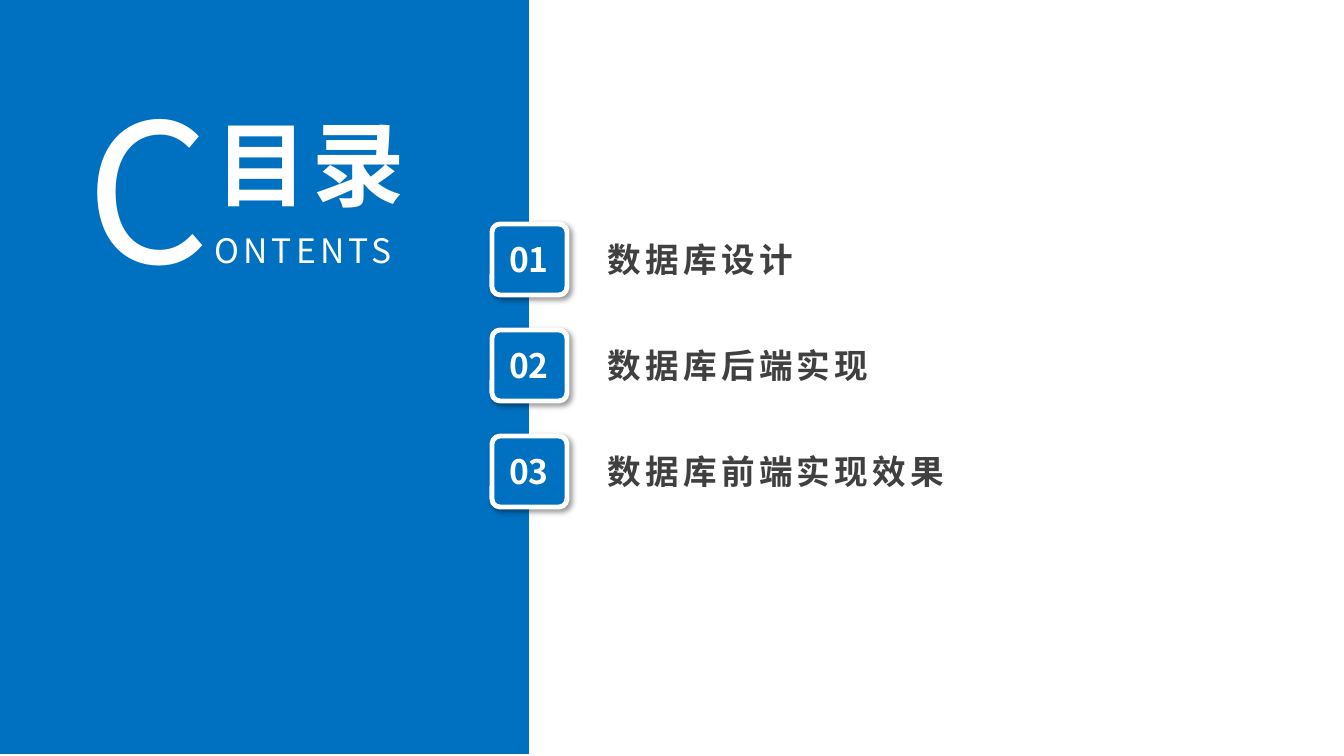
from lxml import etree
from pptx import Presentation
from pptx import util as u
from pptx.dml.color import RGBColor
from pptx.enum import shapes, text
from pptx.oxml import parse_xml
from pptx.oxml.ns import nsdecls, qn

PX = 914400 / 100.8
BLUE = RGBColor(0x00, 0x70, 0xC0)
WHITE = RGBColor(0xFF, 0xFF, 0xFF)
GREY = RGBColor(0x40, 0x40, 0x40)
FONT = "Noto Sans CJK SC"

FIRST_TOP, PITCH = 224, 106
CHAPTERS = [("数据库设计", 307), ("数据库后端实现", 307), ("数据库前端实现效果", 370)]


def px(*lengths):
    return [round(length * PX) for length in lengths]


def add_block(parent, kind, box):
    block = parent.add_shape(kind, *px(*box))
    block.shadow.inherit = False
    block.fill.solid()
    block.fill.fore_color.rgb = BLUE
    block.line.fill.background()
    return block


def add_text(parent, box, runs, color, align, bold=False, spacing=0):
    """Add one paragraph; runs are (wording, size in points), spacing is in points."""
    caption = parent.add_textbox(*px(*box))
    frame = caption.text_frame
    frame.word_wrap = True
    frame.auto_size = text.MSO_AUTO_SIZE.SHAPE_TO_FIT_TEXT
    paragraph = frame.paragraphs[0]
    paragraph.alignment = align
    for wording, size in runs:
        run = paragraph.add_run()
        run.text = wording
        run.font.size = u.Pt(size)
        run.font.bold = bold
        run.font.color.rgb = color
        run.font.name = FONT
        properties = run.font._element
        etree.SubElement(properties, qn("a:ea"), typeface=FONT)
        if spacing:
            properties.set("spc", str(spacing * 100))


def add_drop_shadow(block):
    properties = block._element.spPr
    properties.remove(properties.find(qn("a:effectLst")))
    properties.append(parse_xml(
        f'<a:effectLst {nsdecls("a")}>'
        f'<a:outerShdw blurRad="{u.Pt(4)}" dist="{u.Pt(3)}" dir="2700000" algn="tl" rotWithShape="0">'
        '<a:srgbClr val="000000"><a:alpha val="40000"/></a:srgbClr>'
        '</a:outerShdw></a:effectLst>'))


def add_badge(slide, number, top):
    group = slide.shapes.add_group_shape().shapes
    badge = add_block(group, shapes.MSO_SHAPE.ROUNDED_RECTANGLE, (492, top, 75, 71))
    badge.adjustments[0] = 0.114
    badge.line.color.rgb = WHITE
    badge.line.width = u.Pt(3.5)
    add_drop_shadow(badge)
    add_text(group, (489, top + 10, 80, 50), [(f"{number:02}", 24)], WHITE,
             text.PP_ALIGN.CENTER, bold=True)


def add_heading(slide):
    add_text(slide.shapes, (77, 65, 371, 244), [("C", 138), ("ONTENTS", 24)], WHITE,
             text.PP_ALIGN.JUSTIFY, spacing=3)
    add_text(slide.shapes, (206, 102, 246, 122), [("目录", 66)], WHITE,
             text.PP_ALIGN.JUSTIFY, bold=True, spacing=3)


def main():
    deck = Presentation()
    deck.slide_width, deck.slide_height = px(1344, 756)
    slide = deck.slides.add_slide(deck.slide_layouts[6])
    add_block(slide.shapes, shapes.MSO_SHAPE.RECTANGLE, (0, -2, 529, 756))
    add_heading(slide)
    for index, (title, width) in enumerate(CHAPTERS):
        top = FIRST_TOP + index * PITCH
        add_badge(slide, index + 1, top)
        add_text(slide.shapes, (598, top + 10, width, 50), [(title, 24)], GREY,
                 text.PP_ALIGN.LEFT, bold=True, spacing=3)
    deck.save("out.pptx")


if __name__ == "__main__":
    main()
